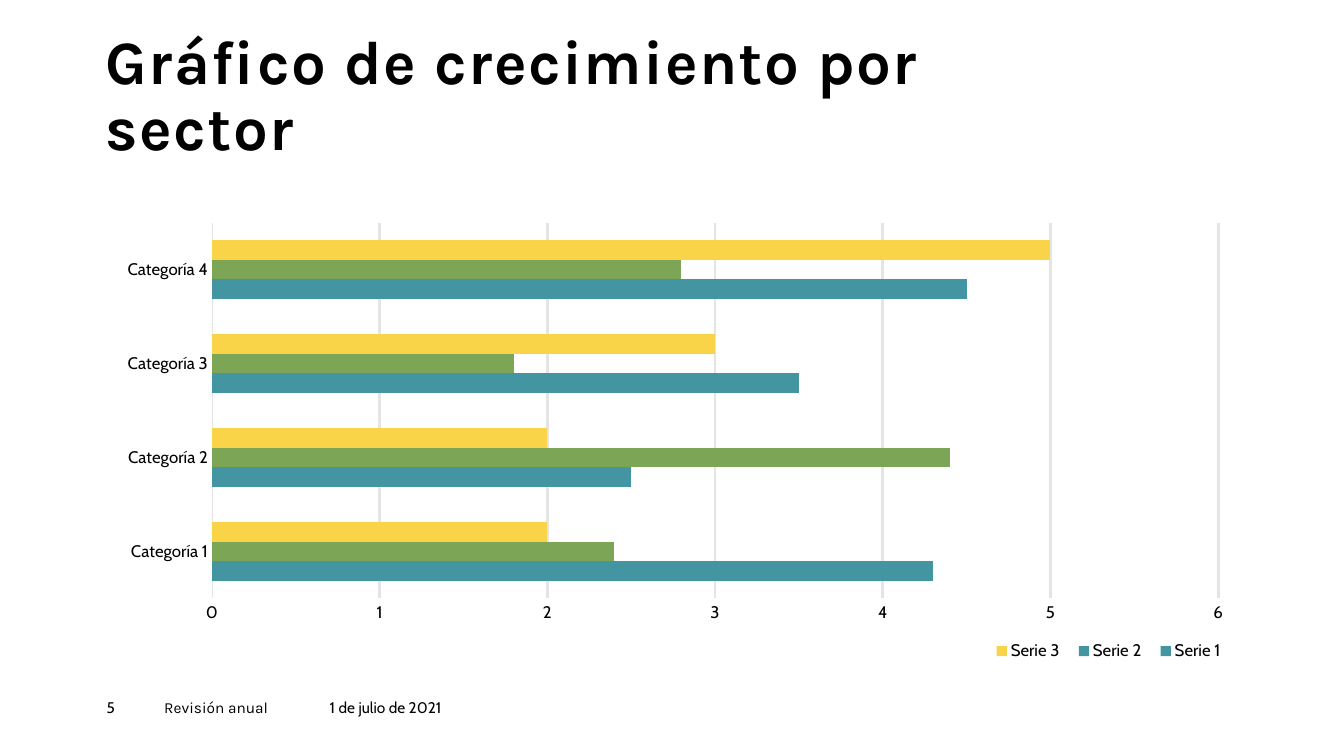
from dataclasses import dataclass

from lxml.etree import SubElement
from pptx import Presentation
from pptx.chart.data import CategoryChartData
from pptx.dml.color import RGBColor
from pptx.enum.chart import XL_CHART_TYPE, XL_LEGEND_POSITION, XL_TICK_MARK
from pptx.enum.text import MSO_ANCHOR
from pptx.oxml import parse_xml
from pptx.oxml.ns import nsdecls, qn
from pptx.slide import Slide
from pptx.util import Cm, Pt

BLACK, WHITE, GRID = "000000", "FFFFFF", "E4E4E4"
TEAL, GREEN, YELLOW = "4495A2", "7CA655", "F9D448"
BODY, HEAD = "Cabin", "Karla"


@dataclass
class Series:
    name: str
    values: tuple[float, ...]
    fill: str
    bars: str  # fill of the single bars, which the legend key does not follow


@dataclass
class Note:
    text: str
    width: float
    face: str


CATS = [f"Categoría {n}" for n in range(1, 5)]
SERIES = [
    Series("Serie 1", (4.3, 2.5, 3.5, 4.5), TEAL, TEAL),
    Series("Serie 2", (2.4, 4.4, 1.8, 2.8), TEAL, GREEN),
    Series("Serie 3", (2, 2, 3, 5), YELLOW, YELLOW),
]
NOTES = [
    Note("5", 1.45, BODY),
    Note("Revisión anual", 4.17, HEAD),
    Note("1 de julio de 2021", 4.67, BODY),
]


def color(code: str) -> RGBColor:
    return RGBColor.from_string(code)


def style(font, size: float, face: str = BODY, bold: bool = False) -> None:
    font.size, font.name, font.bold = Pt(size), face, bold
    font.color.rgb = color(BLACK)


def add_text(slide: Slide, text: str, left: float, top: float, width: float,
             height: float, *, size: float, face: str, bold: bool = False,
             anchor: MSO_ANCHOR = MSO_ANCHOR.TOP, leading: float = 1.0,
             track: float = 0) -> None:
    """Add a text box in centimetres; track is letter spacing in points."""
    box = slide.shapes.add_textbox(Cm(left), Cm(top), Cm(width), Cm(height))
    frame = box.text_frame
    frame.word_wrap = True
    frame.vertical_anchor = anchor
    frame.margin_left = frame.margin_right = 0
    frame.margin_top = frame.margin_bottom = 0
    para = frame.paragraphs[0]
    para.line_spacing = leading
    run = para.add_run()
    run.text = text
    style(run.font, size, face, bold)
    if track:
        run.font._element.set("spc", str(round(track * 100)))


def place(part, index: int, inner: bool, **rect: float) -> None:
    """Give a chart part a manual layout in fractions of the chart."""
    for old in part.findall(qn("c:layout")):
        part.remove(old)
    layout = parse_xml(f"<c:layout {nsdecls('c')}/>")
    manual = SubElement(layout, qn("c:manualLayout"))
    marks = {"layoutTarget": "inner"} if inner else {}
    marks |= {"xMode": "edge", "yMode": "edge"} | rect
    for tag, value in marks.items():
        SubElement(manual, qn(f"c:{tag}")).set("val", str(value))
    part.insert(index, layout)


def add_graph(slide: Slide) -> None:
    data = CategoryChartData()
    data.categories = CATS
    for item in SERIES:
        data.add_series(item.name, item.values)
    chart = slide.shapes.add_chart(
        XL_CHART_TYPE.BAR_CLUSTERED,
        Cm(2.64), Cm(5.38), Cm(28.75), Cm(11.43), data).chart
    chart.has_title = False
    style(chart.font, 10)

    plot = chart.plots[0]
    plot.gap_width, plot.overlap = 182, 0
    plot.vary_by_categories = False
    for item, series in zip(SERIES, plot.series):
        fill = series.format.fill
        fill.solid()
        fill.fore_color.rgb = color(item.fill)
        if item.bars != item.fill:
            for n in range(len(CATS)):
                fill = series.points[n].format.fill
                fill.solid()
                fill.fore_color.rgb = color(item.bars)

    cats, vals = chart.category_axis, chart.value_axis
    for axis in (cats, vals):
        axis.major_tick_mark = axis.minor_tick_mark = XL_TICK_MARK.NONE
        style(axis.tick_labels.font, 12)
    cats.format.line.color.rgb = color(WHITE)
    cats.format.line.width = Pt(0.75)
    vals.format.line.fill.background()
    vals.minimum_scale, vals.maximum_scale, vals.major_unit = 0, 6, 1
    vals.has_major_gridlines = True
    grid = vals.major_gridlines.format.line
    grid.color.rgb, grid.width = color(GRID), Pt(2)

    chart.has_legend = True
    legend = chart.legend
    legend.position = XL_LEGEND_POSITION.BOTTOM
    legend.include_in_layout = False
    style(legend.font, 12)
    place(legend._element, 1, False, x=0.77, y=0.93, w=0.22, h=0.07)
    area = chart._chartSpace.chart.plotArea
    place(area, 0, True, x=0.094, y=0.02, w=0.882, h=0.829)


def main() -> None:
    deck = Presentation()
    deck.slide_width, deck.slide_height = Cm(33.87), Cm(19.05)
    slide = deck.slides.add_slide(deck.slide_layouts[6])
    add_text(slide, "Gráfico de crecimiento por sector", 2.67, 2.44, 25.48, 1.7,
             size=44, face=HEAD, bold=True, anchor=MSO_ANCHOR.BOTTOM,
             leading=0.9, track=1)
    add_graph(slide)
    left = 2.69
    for note in NOTES:
        add_text(slide, note.text, left, 17.58, note.width, 0.69,
                 size=11, face=note.face)
        left += note.width
    deck.save("out.pptx")


if __name__ == "__main__":
    main()
